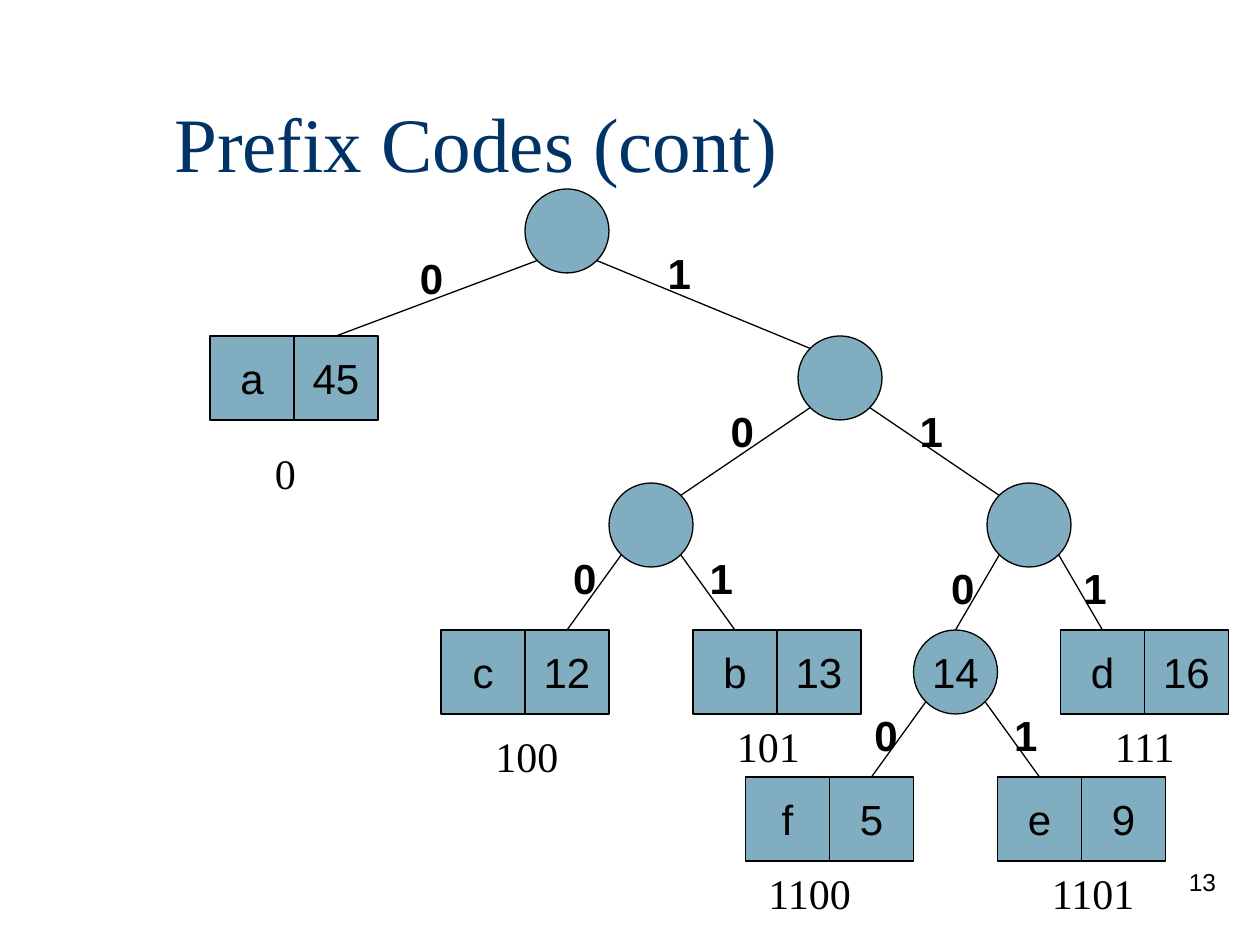
from dataclasses import dataclass

import pptx
import pptx.dml.color
import pptx.enum.shapes
import pptx.enum.text
import pptx.oxml.ns
import pptx.util
from lxml import etree

EMU_PER_PX = 7620  # 120 px to the inch
CELL = 80
DIAGONAL = 12  # inset of a circle's diagonal points from its box
COLORS = {"ink": "000000", "title": "003366", "node": "80AEC0"}
SANS, SERIF = "Arial", "Times New Roman"
SHAPES = pptx.enum.shapes.MSO_SHAPE
ALIGN = pptx.enum.text.PP_ALIGN
MIDDLE = pptx.enum.text.MSO_ANCHOR.MIDDLE


@dataclass
class Branch:
    x: int
    y: int
    text: str = ""


@dataclass
class Leaf:
    x: int
    y: int
    letter: str
    frequency: int
    code_at: tuple[int, int]


# Every node is keyed by its prefix code; dropping the last bit gives its parent.
BRANCHES = {
    "": Branch(500, 180),
    "1": Branch(760, 320),
    "10": Branch(580, 460),
    "11": Branch(940, 460),
    "110": Branch(870, 600, "14"),
}
LEAVES = {
    "0": Leaf(200, 320, "a", 45, (250, 420)),
    "100": Leaf(420, 600, "c", 12, (460, 690)),
    "101": Leaf(660, 600, "b", 13, (690, 680)),
    "111": Leaf(1010, 600, "d", 16, (1050, 680)),
    "1100": Leaf(710, 740, "f", 5, (720, 820)),
    "1101": Leaf(950, 740, "e", 9, (990, 820)),
}
BIT_PLACES = {
    "0": (388, 235), "1": (624, 230),
    "10": (684, 380), "11": (864, 380),
    "100": (534, 520), "101": (664, 520),
    "110": (894, 530), "111": (1020, 530),
    "1100": (821, 670), "1101": (954, 670),
}


def px(*lengths: int) -> list[pptx.util.Emu]:
    return [pptx.util.Emu(length * EMU_PER_PX) for length in lengths]


def rgb(name: str) -> pptx.dml.color.RGBColor:
    return pptx.dml.color.RGBColor.from_string(COLORS[name])


def write(frame, text: str, size: int, font: str, color: str = "ink",
          align=ALIGN.LEFT, bold: bool = False) -> None:
    paragraph = frame.paragraphs[0]
    paragraph.alignment = align
    run = paragraph.add_run()
    run.text = text
    run.font.size = pptx.util.Pt(size)
    run.font.name = font
    run.font.bold = bold
    run.font.color.rgb = rgb(color)


def draw_text(slide, x: int, y: int, width: int, height: int, text: str, size: int,
              font: str, wrap: bool = True, **style) -> None:
    frame = slide.shapes.add_textbox(*px(x, y, width, height)).text_frame
    frame.word_wrap = wrap
    write(frame, text, size, font, **style)


def draw_cell(slide, preset, x: int, y: int, text: str) -> None:
    cell = slide.shapes.add_shape(preset, *px(x, y, CELL, CELL))
    cell.shadow.inherit = False
    cell.fill.solid()
    cell.fill.fore_color.rgb = rgb("node")
    cell.line.color.rgb = rgb("ink")
    cell.line.width = pptx.util.Pt(0.75)
    if text:
        cell.text_frame.word_wrap = False
        cell.text_frame.vertical_anchor = MIDDLE
        write(cell.text_frame, text, 24, SANS, align=ALIGN.CENTER)


def edge_end(code: str) -> tuple[int, int]:
    """Return the point where the edge from the parent meets the node."""
    goes_left = code[-1] == "0"
    if code in LEAVES:
        leaf = LEAVES[code]
        return leaf.x + CELL // 2 + (CELL if goes_left else 0), leaf.y
    branch = BRANCHES[code]
    if branch.text:
        return branch.x + CELL // 2, branch.y
    return branch.x + (CELL - DIAGONAL if goes_left else DIAGONAL), branch.y + DIAGONAL


def draw_edge(slide, code: str) -> None:
    parent = BRANCHES[code[:-1]]
    start_x = parent.x + (DIAGONAL if code[-1] == "0" else CELL - DIAGONAL)
    start_y = parent.y + CELL - DIAGONAL
    edge = slide.shapes.add_connector(
        pptx.enum.shapes.MSO_CONNECTOR.STRAIGHT, *px(start_x, start_y, *edge_end(code)))
    edge.line.color.rgb = rgb("ink")
    edge.line.width = pptx.util.Pt(0.75)
    etree.SubElement(edge._element.spPr, pptx.oxml.ns.qn("a:effectLst"))


def draw_title(slide, text: str) -> None:
    title = slide.shapes.title
    title.left, title.top, title.width, title.height = px(154, 60, 1020, 150)
    title.text_frame.vertical_anchor = MIDDLE
    write(title.text_frame, text, 44, SERIF, color="title")


def main() -> None:
    deck = pptx.Presentation()
    deck.slide_width, deck.slide_height = px(1200, 900)
    slide = deck.slides.add_slide(deck.slide_layouts[5])

    draw_title(slide, "Prefix Codes (cont)")
    draw_text(slide, 920, 820, 250, 60, "13", 14, SANS, align=ALIGN.RIGHT)
    for branch in BRANCHES.values():
        draw_cell(slide, SHAPES.OVAL, branch.x, branch.y, branch.text)
    for code, leaf in LEAVES.items():
        draw_cell(slide, SHAPES.RECTANGLE, leaf.x, leaf.y, leaf.letter)
        draw_cell(slide, SHAPES.RECTANGLE, leaf.x + CELL, leaf.y, str(leaf.frequency))
        draw_text(slide, *leaf.code_at, 130, 60, code, 24, SERIF)
    for code, place in BIT_PLACES.items():
        draw_edge(slide, code)
        draw_text(slide, *place, 46, 60, code[-1], 24, SANS, wrap=False, bold=True)

    deck.save("out.pptx")


if __name__ == "__main__":
    main()
